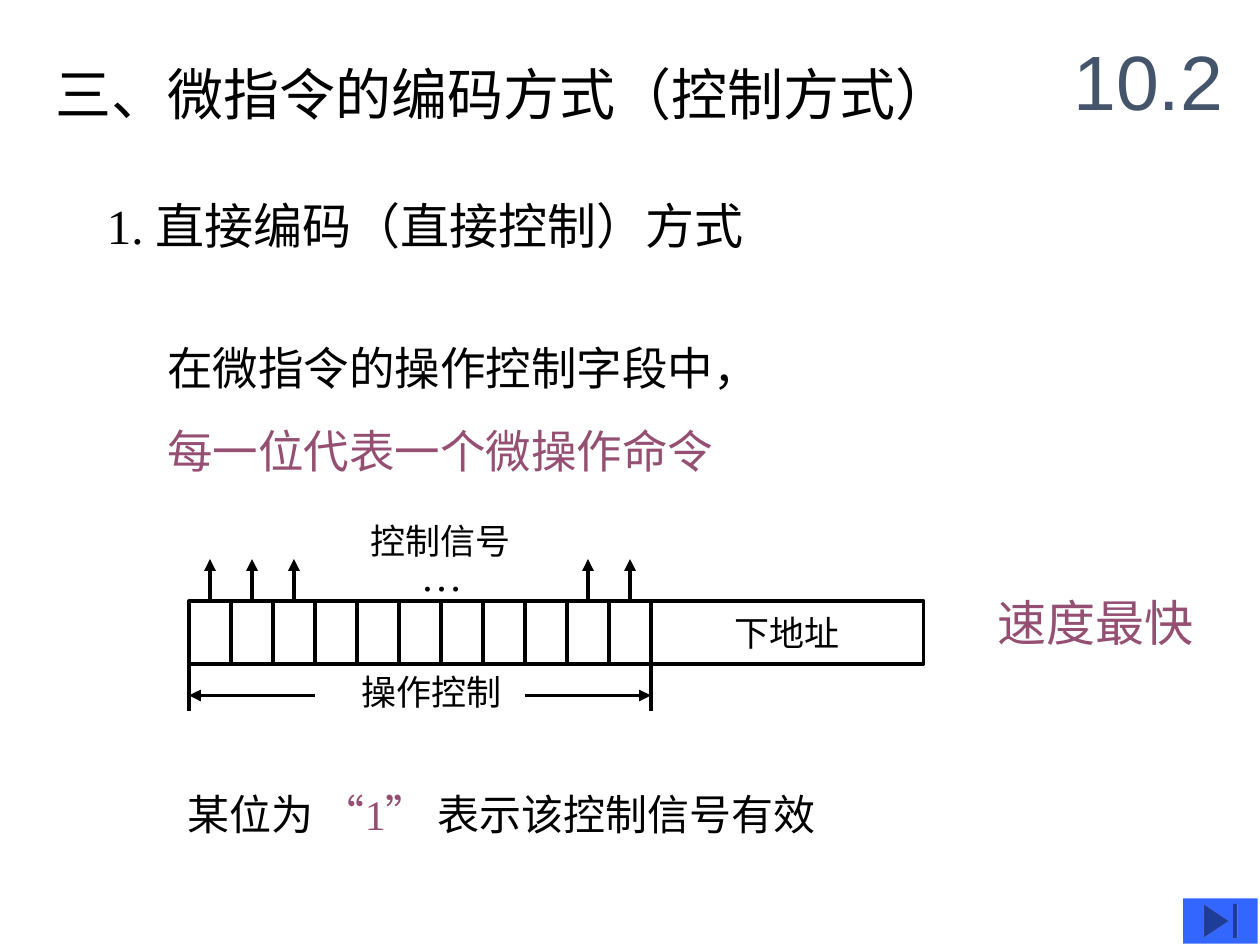
from pptx import Presentation
from pptx.dml.color import RGBColor
from pptx.enum import shapes, text
from pptx.oxml import parse_xml
from pptx.oxml.ns import nsdecls
from pptx.util import Inches, Pt

BLACK = RGBColor(0x00, 0x00, 0x00)
PLUM = RGBColor(0x95, 0x4F, 0x72)
SLATE = RGBColor(0x44, 0x54, 0x6A)
BLUE = RGBColor(0x33, 0x66, 0xFF)
SANS, SERIF, ARIAL = "DejaVu Sans", "Times New Roman", "Arial"


def write(para, spans, size):
    """Fill a paragraph with (words, font, colour) spans of one size."""
    for words, font, colour in spans:
        span = para.add_run()
        span.text = words
        span.font.name = font
        span.font.size = Pt(size)
        span.font.color.rgb = colour


def add_label(parent, left, top, width, height, lines, size, wrap=False):
    """Add a text box with one paragraph for each list of spans."""
    box = parent.add_textbox(Inches(left), Inches(top), Inches(width), Inches(height))
    frame = box.text_frame
    frame.word_wrap = wrap
    frame.auto_size = text.MSO_AUTO_SIZE.SHAPE_TO_FIT_TEXT
    for index, spans in enumerate(lines):
        para = frame.add_paragraph() if index else frame.paragraphs[0]
        write(para, spans, size)
    return box


def add_cell(parent, left, top, width, height):
    """Add an unfilled black-edged field of the instruction word."""
    cell = parent.add_shape(shapes.MSO_SHAPE.RECTANGLE, Inches(left), Inches(top),
                            Inches(width), Inches(height))
    cell.shadow.inherit = False
    cell.fill.background()
    cell.line.color.rgb = BLACK
    cell.line.width = Pt(2.25)
    return cell


def add_line(parent, x1, y1, x2, y2, arrow=False):
    """Add a straight black line, with an arrowhead at its end if asked."""
    line = parent.add_connector(shapes.MSO_CONNECTOR.STRAIGHT, Inches(x1), Inches(y1),
                                Inches(x2), Inches(y2))
    line.line.color.rgb = BLACK
    line.line.width = Pt(2.25)
    if arrow:
        line.line._get_or_add_ln().append(
            parse_xml(f'<a:tailEnd {nsdecls("a")} type="triangle"/>'))
    line._element.spPr.append(parse_xml(f'<a:effectLst {nsdecls("a")}/>'))
    return line


def add_header(page):
    """Place the title, the section number and the subheading."""
    add_label(page.shapes, 0.34, 0.42, 7.32, 0.64,
              [[("三、微指令的编码方式（控制方式）", SANS, BLACK)]], 32)
    number = add_label(page.shapes, 8.42, 0.17, 1.58, 0.92,
                       [[("10.2", ARIAL, SLATE)]], 44, wrap=True)
    number.text_frame.auto_size = text.MSO_AUTO_SIZE.NONE
    number.text_frame.vertical_anchor = text.MSO_ANCHOR.MIDDLE
    add_label(page.shapes, 0.75, 1.5, 7.72, 0.57,
              [[("1. ", SERIF, BLACK), ("直接编码（直接控制）方式", SANS, BLACK)]],
              28, wrap=True)


def add_statements(page):
    """Place the explanation, the speed remark and the closing rule."""
    body = add_label(page.shapes, 0.75, 2.65, 8.03, 1.19,
                     [[("在微指令的操作控制字段中，", SANS, BLACK)],
                      [("每一位代表一个微操作命令", SANS, PLUM)]], 26, wrap=True)
    for para in body.text_frame.paragraphs:
        para._p.get_or_add_pPr().set("marL", str(Inches(0.48)))
    body.text_frame.paragraphs[1].space_before = Pt(16.2)
    add_label(page.shapes, 7.82, 4.65, 1.75, 0.57, [[("速度最快", SANS, PLUM)]], 28)
    add_label(page.shapes, 1.39, 6.21, 5.34, 0.5,
              [[("某位为 ", SERIF, BLACK), ("“1”", SERIF, PLUM),
                (" 表示该控制信号有效", SERIF, BLACK)]], 24)


def add_instruction_word(page, left, top, width, height):
    """Draw the control bits, the next-address field and their signals."""
    parent = page.shapes.add_group_shape().shapes
    bit, count = 1 / 3, 11
    bottom, edge = top + height, left + count * bit
    bits = [add_cell(parent, left + index * bit, top, bit, height)
            for index in range(count)]

    address = add_cell(parent, edge, top, left + width - edge, height)
    frame = address.text_frame
    frame.word_wrap = False
    frame.vertical_anchor = text.MSO_ANCHOR.MIDDLE
    frame.paragraphs[0].alignment = text.PP_ALIGN.CENTER
    write(frame.paragraphs[0], [("下地址", SERIF, BLACK)], 20)

    for index in (0, 1, 2, 9, 10):
        middle = left + (index + 0.5) * bit
        signal = add_line(parent, middle, top, middle, top - bit, arrow=True)
        signal.begin_connect(bits[index], 0)

    for end, start in ((left, left + 3 * bit), (edge, edge - 3 * bit)):
        add_line(parent, end, bottom, end, bottom + 0.37)
        add_line(parent, start, bottom + 0.25, end, bottom + 0.25, arrow=True)

    for words, x, y, wide, high, size in (
            ("…", 1.74, -0.46, 0.53, 0.5, 24),
            ("控制信号", 1.34, -0.7, 1.31, 0.44, 20),
            ("操作控制", 1.27, height, 1.31, 0.44, 20)):
        add_label(parent, left + x, top + y, wide, high, [[(words, SERIF, BLACK)]], size)


def add_end_button(page, left, top, width, height):
    """Place the bevelled button in the bottom corner."""
    button = page.shapes.add_shape(shapes.MSO_SHAPE.ACTION_BUTTON_END, Inches(left),
                                   Inches(top), Inches(width), Inches(height))
    button.shadow.inherit = False
    button.fill.solid()
    button.fill.fore_color.rgb = BLUE
    button.line.fill.background()


def main():
    """Build the slide and save the deck."""
    deck = Presentation()
    deck.slide_width, deck.slide_height = Inches(10), Inches(7.5)
    page = deck.slides.add_slide(deck.slide_layouts[6])
    add_header(page)
    add_statements(page)
    add_instruction_word(page, 1.5, 4.77, 5.83, 0.5)
    add_end_button(page, 9.39, 7.13, 0.59, 0.36)
    deck.save("out.pptx")


if __name__ == "__main__":
    main()
